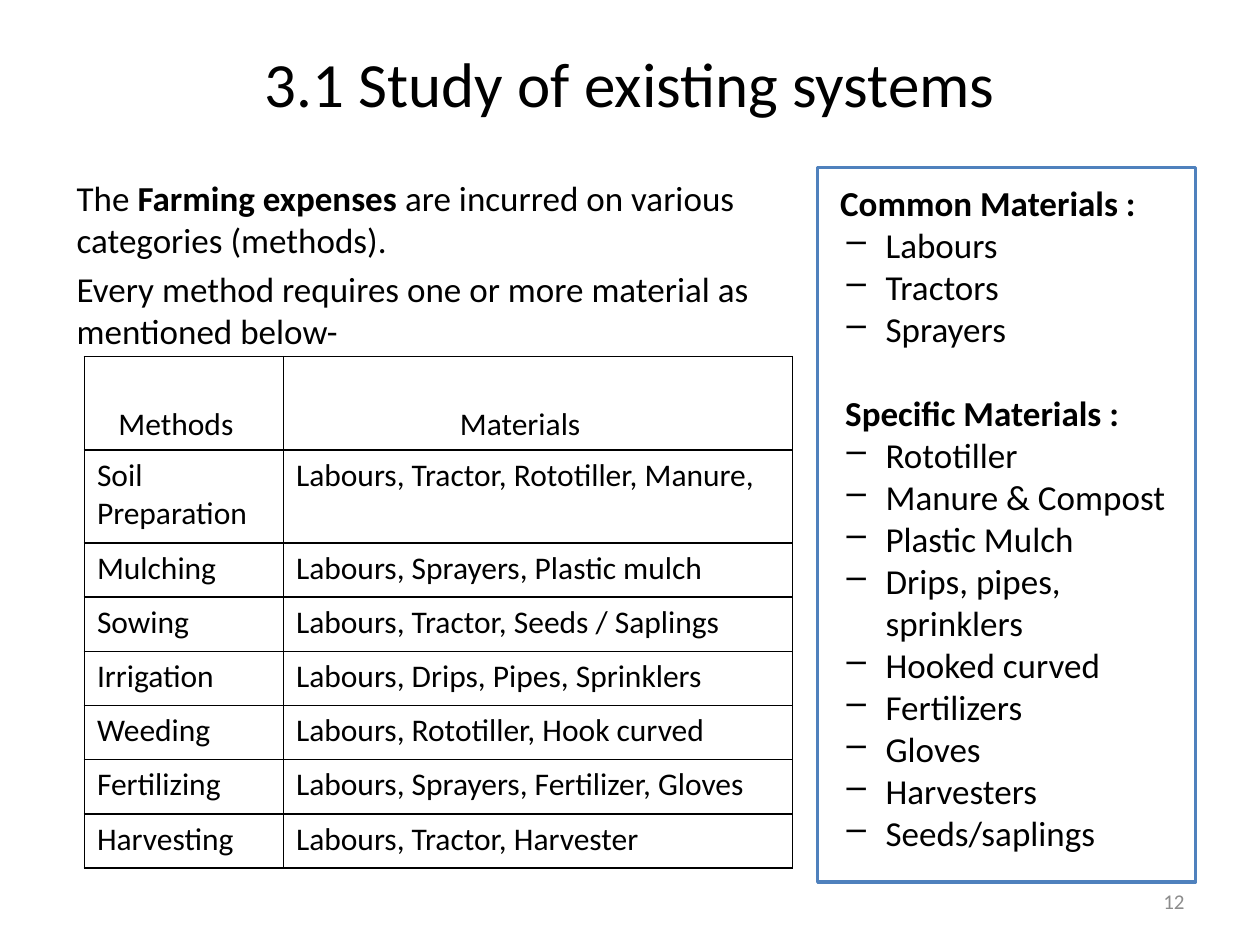
import pptx
import pptx.dml.color
import pptx.enum.shapes
import pptx.enum.text
import pptx.oxml
import pptx.oxml.ns
import pptx.util
from lxml import etree

Inches = pptx.util.Inches
Pt = pptx.util.Pt
ALIGN = pptx.enum.text.PP_ALIGN
ANCHOR = pptx.enum.text.MSO_ANCHOR

BLACK = pptx.dml.color.RGBColor(0x00, 0x00, 0x00)
WHITE = pptx.dml.color.RGBColor(0xFF, 0xFF, 0xFF)
BLUE = pptx.dml.color.RGBColor(0x4F, 0x81, 0xBD)
GREY = pptx.dml.color.RGBColor(0x8C, 0x8C, 0x8C)

INTRO = [
    [("The ", False), ("Farming expenses ", True),
     ("are incurred on various categories (methods).", False)],
    [("Every method requires one or more material as mentioned below-", False)],
]
HEADER = ("Methods", "Materials")
HEADER_INDENTS = (0.27, 1.4)
METHODS = [
    ("Soil Preparation", "Labours, Tractor, Rototiller, Manure,"),
    ("Mulching", "Labours, Sprayers, Plastic mulch"),
    ("Sowing", "Labours, Tractor, Seeds / Saplings"),
    ("Irrigation", "Labours, Drips, Pipes, Sprinklers"),
    ("Weeding", "Labours, Rototiller, Hook curved"),
    ("Fertilizing", "Labours, Sprayers, Fertilizer, Gloves"),
    ("Harvesting", "Labours, Tractor, Harvester"),
]
COLUMN_WIDTHS = (1.58, 4.04)
TALL_ROW, ROW = 0.74, 0.43

# heading, left indent in inches, space before in points, items
MATERIALS = [
    ("Common Materials :", 0.08, 0, ["Labours", "Tractors", "Sprayers"]),
    ("Specific Materials :", 0.12, 24,
     ["Rototiller", "Manure & Compost", "Plastic Mulch",
      "Drips, pipes, sprinklers", "Hooked curved", "Fertilizers", "Gloves",
      "Harvesters", "Seeds/saplings"]),
]


def set_attributes(target, values):
    for name, value in values.items():
        setattr(target, name, value)


def add_run(paragraph, text, size, color=BLACK, bold=False):
    run = paragraph.add_run()
    run.text = text
    set_attributes(run.font, {"name": "Calibri", "size": Pt(size), "bold": bold})
    run.font.color.rgb = color


def next_paragraph(frame):
    """Return the empty first paragraph, or a new one after the last."""
    first = frame.paragraphs[0]
    return frame.add_paragraph() if first.runs else first


def add_text_box(slide, left, top, width, height, **frame_format):
    frame = slide.shapes.add_textbox(
        Inches(left), Inches(top), Inches(width), Inches(height)).text_frame
    set_attributes(frame, {"word_wrap": True, **frame_format})
    return frame


def add_line(slide, box, text, size, color, alignment):
    frame = add_text_box(slide, *box, vertical_anchor=ANCHOR.MIDDLE)
    paragraph = frame.paragraphs[0]
    paragraph.alignment = alignment
    add_run(paragraph, text, size, color)


def add_intro(slide):
    frame = add_text_box(slide, 0.51, 1.33, 5.98, 1.5, margin_top=Inches(0.07))
    for index, runs in enumerate(INTRO):
        paragraph = next_paragraph(frame)
        paragraph.space_before = Pt(4 * index)
        for text, bold in runs:
            add_run(paragraph, text, 20, bold=bold)


def set_borders(cell):
    properties = cell._tc.get_or_add_tcPr()
    for position, side in enumerate(("lnL", "lnR", "lnT", "lnB")):
        border = pptx.oxml.parse_xml(
            f'<a:{side} {pptx.oxml.ns.nsdecls("a")} w="{Pt(1)}">'
            f'<a:solidFill><a:srgbClr val="{BLACK}"/></a:solidFill></a:{side}>')
        properties.insert(position, border)


def fill_cell(cell, text):
    cell.fill.background()
    set_borders(cell)
    add_run(cell.text_frame.paragraphs[0], text, 18)


def add_methods_table(slide):
    heights = [TALL_ROW] * 2 + [ROW] * (len(METHODS) - 1)
    table = slide.shapes.add_table(
        len(heights), len(COLUMN_WIDTHS), Inches(0.67), Inches(2.83),
        Inches(sum(COLUMN_WIDTHS)), Inches(sum(heights))).table
    set_attributes(table, {"first_row": False, "horz_banding": False})
    for column, width in zip(table.columns, COLUMN_WIDTHS):
        column.width = Inches(width)
    for row, height, texts in zip(table.rows, heights, [HEADER] + METHODS):
        row.height = Inches(height)
        for cell, text in zip(row.cells, texts):
            fill_cell(cell, text)
    for cell, indent in zip(table.rows[0].cells, HEADER_INDENTS):
        set_attributes(cell, {"vertical_anchor": ANCHOR.BOTTOM,
                              "margin_left": Inches(indent)})


def set_indent(paragraph, left, hanging=0, bullet=None):
    properties = paragraph._p.get_or_add_pPr()
    properties.set("marL", str(Inches(left)))
    properties.set("indent", str(Inches(-hanging)))
    if bullet:
        mark = etree.SubElement(properties, pptx.oxml.ns.qn("a:buChar"))
        mark.set("char", bullet)


def add_materials_panel(slide):
    panel = slide.shapes.add_shape(
        pptx.enum.shapes.MSO_SHAPE.RECTANGLE,
        Inches(6.49), Inches(1.33), Inches(3), Inches(5.67))
    panel.shadow.inherit = False
    panel.fill.solid()
    panel.fill.fore_color.rgb = WHITE
    panel.line.color.rgb = BLUE
    panel.line.width = Pt(2)
    frame = panel.text_frame
    set_attributes(frame, {"word_wrap": True, "vertical_anchor": ANCHOR.TOP,
                           "margin_top": Inches(0.11)})
    for heading, indent, space_before, items in MATERIALS:
        paragraph = next_paragraph(frame)
        set_attributes(paragraph, {"alignment": ALIGN.LEFT,
                                   "space_before": Pt(space_before)})
        set_indent(paragraph, indent)
        add_run(paragraph, heading, 20, bold=True)
        for item in items:
            paragraph = next_paragraph(frame)
            paragraph.alignment = ALIGN.LEFT
            set_indent(paragraph, 0.44, 0.31, "–")
            add_run(paragraph, item, 20)


def main():
    presentation = pptx.Presentation()
    set_attributes(presentation, {"slide_width": Inches(10),
                                  "slide_height": Inches(7.5)})
    slide = presentation.slides.add_slide(presentation.slide_layouts[6])
    add_line(slide, (0.5, 0.3, 9, 0.7), "3.1 Study of existing systems",
             36, BLACK, ALIGN.CENTER)
    add_intro(slide)
    add_methods_table(slide)
    add_materials_panel(slide)
    add_line(slide, (7.17, 6.95, 2.33, 0.4), "12", 12, GREY, ALIGN.RIGHT)
    presentation.save("out.pptx")


if __name__ == "__main__":
    main()
